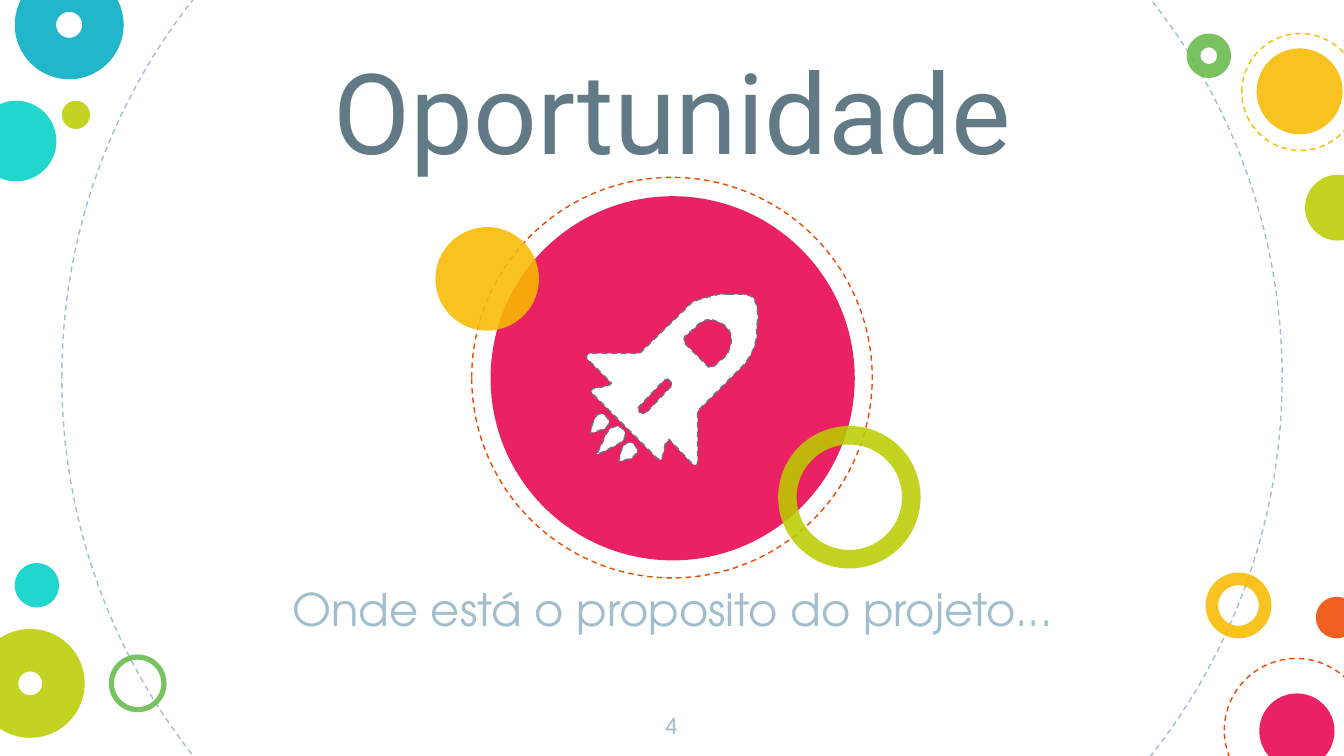
"""Build the "Oportunidade" slide with a rocket among coloured circles."""
from pptx import Presentation
from pptx.dml.color import RGBColor
from pptx.enum.dml import MSO_LINE
from pptx.enum.shapes import MSO_SHAPE as SHAPE
from pptx.enum.text import MSO_ANCHOR as ANCHOR, MSO_AUTO_SIZE as AUTO_SIZE, PP_ALIGN as ALIGN
from pptx.oxml.ns import qn
from pptx.util import Inches, Pt
from lxml.etree import SubElement

WHITE = RGBColor(0xFF, 0xFF, 0xFF)
SLATE = RGBColor(0x61, 0x7A, 0x86)
MIST = RGBColor(0xA1, 0xBE, 0xCC)
AQUA = RGBColor(0x00, 0xD1, 0xC6)
TEAL = RGBColor(0x00, 0xAC, 0xC3)
AMBER = RGBColor(0xF8, 0xBB, 0x00)
LIME = RGBColor(0xBB, 0xCD, 0x00)
GREEN = RGBColor(0x65, 0xBB, 0x48)
ORANGE = RGBColor(0xED, 0x4A, 0x00)
PINK = RGBColor(0xE8, 0x00, 0x4C)

ORBITS = [
    (0.46, -1.73, 9.08, MIST),
    (9.11, 4.9, 1.07, ORANGE),
    (9.24, 0.25, 0.87, AMBER),
    (3.51, 1.32, 2.98, ORANGE),
]
DISCS = [
    (-0.18, 0.75, 0.6, AQUA),
    (0.46, 0.75, 0.21, LIME),
    (9.79, 4.44, 0.31, ORANGE),
    (9.37, 5.16, 0.56, PINK),
    (9.35, 0.36, 0.64, AMBER),
    (9.71, 1.3, 0.49, LIME),
    (0.11, 4.19, 0.33, AQUA),
    (3.65, 1.46, 2.71, PINK),
    (3.24, 1.69, 0.77, AMBER),
]
RINGS = [
    (8.97, 4.26, 0.49, AMBER, 0.19),
    (0.11, -0.22, 0.81, TEAL, 0.38),
    (0.81, 4.87, 0.43, GREEN, 0.09),
    (-0.18, 4.68, 0.81, LIME, 0.39),
    (8.83, 0.25, 0.33, GREEN, 0.31),
    (5.79, 3.17, 1.06, LIME, 0.13),
]

WINDOW = [
    (530, 238), (533, 239), (536, 240), (539, 242), (542, 245), (544, 249), (544, 252),
    (544, 256), (543, 259), (542, 262), (540, 265), (533, 271), (531, 273), (529, 273),
    (527, 273), (525, 271), (511, 257), (510, 256), (509, 254), (509, 252), (510, 250),
    (518, 243), (520, 241), (523, 239), (526, 238),
]
SLOT = [
    (497, 282), (498, 283), (499, 284), (500, 285), (500, 287), (499, 288), (481, 307),
    (479, 308), (477, 307), (476, 307), (475, 306), (475, 303), (476, 302), (494, 283),
]
HULL = [
    (543, 219), (535, 219), (527, 221), (520, 223), (515, 225), (512, 228), (476, 263),
    (439, 263), (437, 264), (436, 265), (437, 267), (455, 285), (453, 287), (443, 289),
    (441, 289), (440, 291), (441, 293), (489, 341), (491, 342), (492, 342), (493, 340),
    (495, 330), (498, 327), (515, 345), (517, 346), (518, 346), (519, 345), (519, 306),
    (554, 271), (556, 268), (558, 265), (561, 259), (563, 251), (563, 243), (564, 236),
    (563, 227), (562, 225), (561, 222), (558, 220), (553, 219),
]
MIDDLE_FLAME = [
    (459, 317), (456, 318), (454, 319), (451, 323), (448, 330), (445, 336), (444, 338),
    (447, 337), (453, 334), (459, 331), (462, 329), (464, 327), (465, 325), (465, 322),
    (464, 320), (462, 318),
]
RIGHT_FLAME = [
    (468, 329), (466, 330), (464, 332), (462, 336), (461, 342), (460, 343), (462, 343),
    (466, 342), (470, 341), (472, 339), (474, 337), (474, 334), (473, 332), (471, 330),
]
LEFT_FLAME = [
    (446, 308), (444, 309), (443, 311), (441, 315), (440, 320), (439, 322), (441, 322),
    (447, 320), (450, 319), (452, 317), (453, 315), (453, 313), (452, 311), (450, 309),
    (448, 308),
]
ROCKET_PARTS = [[WINDOW, SLOT, HULL], [MIDDLE_FLAME], [RIGHT_FLAME], [LEFT_FLAME]]

prs = Presentation()
prs.slide_width, prs.slide_height = Inches(10), Inches(10 * 9 / 16)
slide = prs.slides.add_slide(prs.slide_layouts[5])


def add_circle(preset, left, top, size, fill=None):
    circle = slide.shapes.add_shape(
        preset, Inches(left), Inches(top), Inches(size), Inches(size))
    circle.shadow.inherit = False
    if fill is None:
        circle.fill.background()
    else:
        circle.fill.solid()
        circle.fill.fore_color.rgb = fill
        tint = circle.element.spPr.find(".//" + qn("a:srgbClr"))
        SubElement(tint, qn("a:alpha")).set("val", "87000")
        circle.line.fill.background()
    return circle


def dash_outline(shape, color):
    shape.line.color.rgb = color
    shape.line.width = Pt(0.75)
    shape.line.dash_style = MSO_LINE.DASH


for left, top, size, color in ORBITS:
    dash_outline(add_circle(SHAPE.OVAL, left, top, size), color)
for left, top, size, color in DISCS:
    add_circle(SHAPE.OVAL, left, top, size, color)
for left, top, size, color, thickness in RINGS:
    add_circle(SHAPE.DONUT, left, top, size, color).adjustments[0] = thickness

for outlines in ROCKET_PARTS:
    builder = slide.shapes.build_freeform(*outlines[0][0], scale=Inches(0.01))
    for outline in outlines:
        if outline is not outlines[0]:
            builder.move_to(*outline[0])
        builder.add_line_segments(outline[1:], close=True)
    part = builder.convert_to_shape()
    part.shadow.inherit = False
    part.fill.solid()
    part.fill.fore_color.rgb = WHITE
    dash_outline(part, SLATE)

title = slide.shapes.title
subtitle = slide.shapes.add_textbox(0, 0, 0, 0)
page_number = slide.shapes.add_textbox(0, 0, 0, 0)
TEXTS = [
    (title, "Oportunidade", (1.43, 0.15, 7.15, 1.27), ANCHOR.BOTTOM, 0, 60, "Roboto", SLATE),
    (subtitle, "Onde está o proposito do projeto...", (1.43, 4.23, 7.15, 0.86),
     ANCHOR.TOP, 6, 24, "TeX Gyre Adventor", MIST),
    (page_number, "4", (4.74, 5.2, 0.51, 0.43), ANCHOR.TOP, 0, 12, "Roboto", MIST),
]
for holder, wording, box, anchor, space_before, size, font_name, color in TEXTS:
    holder.left, holder.top, holder.width, holder.height = map(Inches, box)
    frame = holder.text_frame
    frame.text = wording
    frame.word_wrap = True
    frame.auto_size = AUTO_SIZE.NONE
    frame.vertical_anchor = anchor
    frame.margin_left = frame.margin_right = Inches(0.1)
    frame.margin_top = frame.margin_bottom = Inches(0.1)
    paragraph = frame.paragraphs[0]
    paragraph.alignment = ALIGN.CENTER
    paragraph.space_before = Pt(space_before)
    font = paragraph.runs[0].font
    font.size = Pt(size)
    font.name = font_name
    font.color.rgb = color

prs.save("out.pptx")
